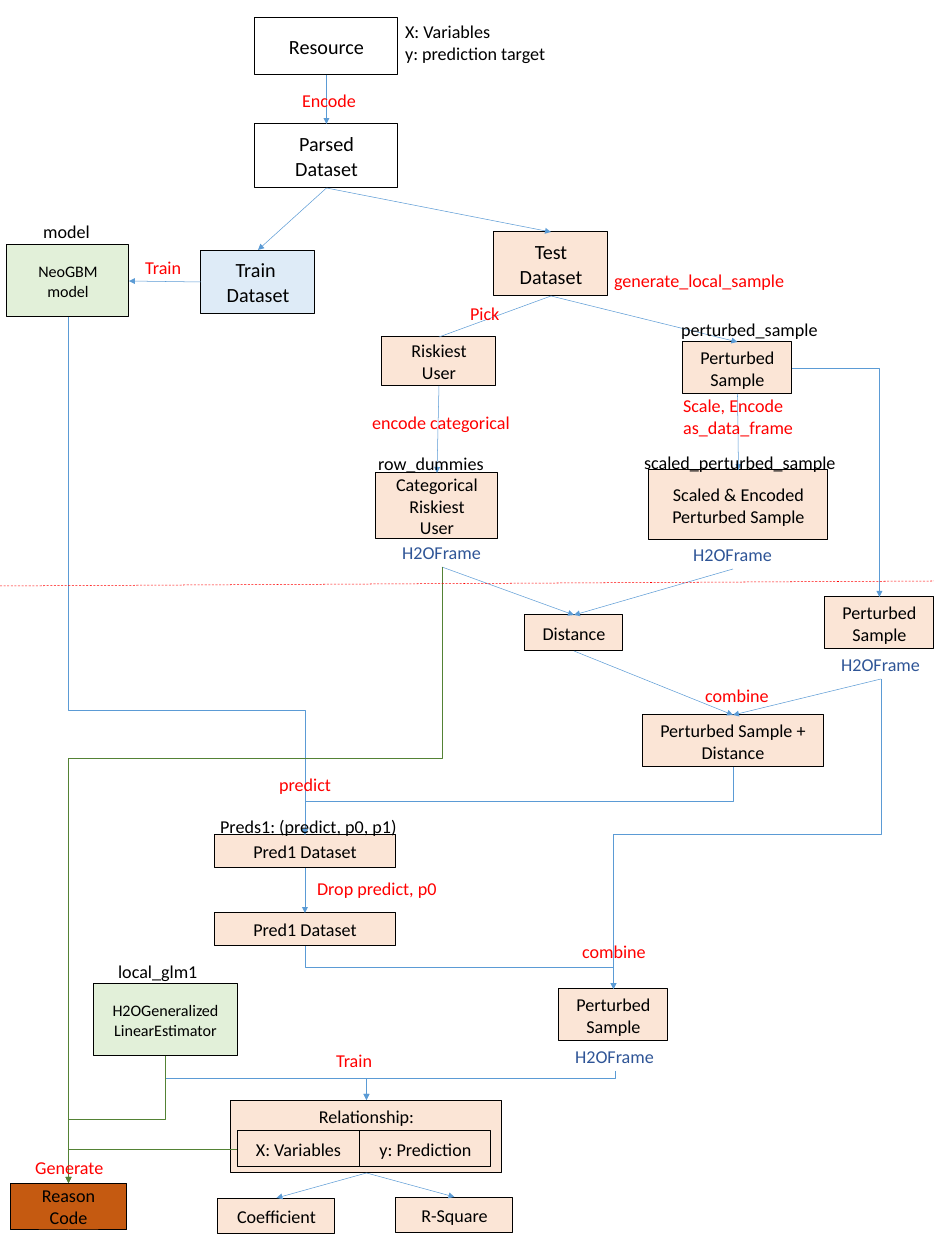
from dataclasses import dataclass

from lxml.etree import SubElement
from pptx import Presentation
from pptx.dml.color import RGBColor
from pptx.enum.dml import MSO_LINE_DASH_STYLE as Dash
from pptx.enum.shapes import MSO_CONNECTOR as Connector, MSO_SHAPE as Preset
from pptx.enum.text import MSO_ANCHOR as Anchor, PP_ALIGN as Align
from pptx.oxml.ns import qn
from pptx.util import Pt

SCALE = 12630
TOP, LEFT, BOTTOM, RIGHT = range(4)


@dataclass(frozen=True)
class Theme:
    font: str = "Calibri"
    ink: str = "000000"
    action: str = "FF0000"
    frame: str = "2F5597"
    flow: str = "5B9BD5"
    reason_flow: str = "548235"
    model: str = "E2F0D9"
    train: str = "DEEBF7"
    data: str = "FBE5D6"
    reason: str = "C55A11"
    small: int = 16
    body: int = 18
    large: int = 20
    outline: float = 1
    thin: float = 0.5


theme = Theme()


def px(value):
    return round(value * SCALE)


def apply(target, values):
    for name, value in values.items():
        setattr(target, name, value)


def write(shape, text, size, color, align, layout):
    apply(shape.text_frame, {"word_wrap": True, **layout})
    for index, line in enumerate(text.split("\n")):
        paras = shape.text_frame.paragraphs
        para = paras[0] if index == 0 else shape.text_frame.add_paragraph()
        para.alignment = align
        span = para.add_run()
        span.text = line
        apply(span.font, {"name": theme.font, "size": Pt(size)})
        span.font.color.rgb = RGBColor.from_string(color)


def add_node(page, box, place, text, fill=theme.data, size=theme.body, **layout):
    left, top, width, height = place
    node = page.shapes.add_shape(
        Preset.RECTANGLE, px(box[0] + left), px(box[1] + top), px(width), px(height))
    node.shadow.inherit = False
    if fill:
        node.fill.solid()
        node.fill.fore_color.rgb = RGBColor.from_string(fill)
    else:
        node.fill.background()
    node.line.color.rgb = RGBColor.from_string(theme.ink)
    node.line.width = Pt(theme.outline)
    insets = {"margin_left": px(17), "margin_right": px(17),
              "margin_top": px(9), "margin_bottom": px(9)}
    write(node, text, size, theme.ink, Align.CENTER,
          {"vertical_anchor": Anchor.MIDDLE, **insets, **layout})
    return node


def add_label(page, box, place, text, color=theme.action, wrap=False):
    left, top, width = place
    height = 29 + 22 * text.count("\n")
    label = page.shapes.add_textbox(
        px(box[0] + left), px(box[1] + top), px(width), px(height))
    write(label, text, theme.body, color, Align.LEFT, {"word_wrap": wrap})
    return label


def style_line(line, color, arrow=True):
    line.line.color.rgb = RGBColor.from_string(color)
    line.line.width = Pt(theme.thin)
    if arrow:
        SubElement(line.line._get_or_add_ln(), qn("a:tailEnd"), type="triangle")
    SubElement(line._element.spPr, qn("a:effectLst"))


def site(shape, side):
    across = {LEFT: 0, RIGHT: shape.width}.get(side, shape.width // 2)
    down = {TOP: 0, BOTTOM: shape.height}.get(side, shape.height // 2)
    return shape.left + across, shape.top + down


def join(page, start, end, sides=(BOTTOM, TOP), arrow=True):
    line = page.shapes.add_connector(Connector.STRAIGHT, 0, 0, 0, 0)
    line.begin_connect(start, sides[0])
    line.end_connect(end, sides[1])
    style_line(line, theme.flow, arrow)


def step_down(page, start, end, bend=0.5, color=theme.flow):
    (x1, y1), (x2, y2) = site(start, BOTTOM), site(end, TOP)
    drop, shift = y2 - y1, abs(x2 - x1)
    left, top = (x1 + x2 - drop) // 2, (y1 + y2 - shift) // 2
    ends = (left, left + drop) if x2 < x1 else (left + drop, left)
    line = page.shapes.add_connector(
        Connector.ELBOW, ends[0], top, ends[1], top + shift)
    line._element.spPr.xfrm.set("rot", "5400000" if x2 < x1 else "16200000")
    guides = line._element.spPr.prstGeom.get_or_add_avLst()
    SubElement(guides, qn("a:gd"), name="adj1", fmla=f"val {round(bend * 100000)}")
    style_line(line, color)


def turn_down(page, start, side, end, color=theme.flow):
    line = page.shapes.add_connector(
        Connector.ELBOW, *site(start, side), *site(end, TOP))
    line._element.spPr.prstGeom.set("prst", "bentConnector2")
    style_line(line, color)


def dataset_region(page, box):
    resource = add_node(page, box, (255, 18, 143, 57), "Resource", None, theme.large)
    parsed = add_node(page, box, (255, 124, 143, 64), "Parsed\nDataset", None, theme.large)
    model = add_node(page, box, (7, 245, 122, 72), "NeoGBM\nmodel", theme.model, theme.small)
    train = add_node(page, box, (201, 250, 114, 64), "Train \nDataset", theme.train, theme.large)
    test = add_node(page, box, (494, 232, 114, 64), "Test\nDataset", size=theme.large)
    for start, end in ((resource, parsed), (parsed, train), (parsed, test)):
        join(page, start, end)
    join(page, train, model, (LEFT, RIGHT))
    add_label(page, box, (398, 17, 432), "X: Variables\ny: prediction target", theme.ink, True)
    add_label(page, box, (36, 217, 62), "model", theme.ink)
    add_label(page, box, (295, 86, 70), "Encode")
    add_label(page, box, (138, 253, 51), "Train")
    return {"model": model, "test": test}


def sampling_region(page, box, test):
    riskiest = add_node(page, box, (22, 71, 114, 49), "Riskiest User")
    perturbed = add_node(page, box, (323, 76, 109, 52), "Perturbed\nSample")
    categorical = add_node(page, box, (16, 207, 122, 66), "Categorical\nRiskiest User")
    scaled = add_node(page, box, (289, 204, 179, 70), "Scaled & Encoded Perturbed Sample")
    join(page, riskiest, test, (TOP, BOTTOM), arrow=False)
    for start, end in ((test, perturbed), (riskiest, categorical), (perturbed, scaled)):
        join(page, start, end)
    add_label(page, box, (247, 0, 187), "generate_local_sample")
    add_label(page, box, (103, 33, 44), "Pick")
    add_label(page, box, (5, 142, 154), "encode categorical")
    add_label(page, box, (316, 125, 126), "Scale, Encode\nas_data_frame")
    add_label(page, box, (314, 49, 153), "perturbed_sample", theme.ink)
    add_label(page, box, (11, 183, 122), "row_dummies", theme.ink)
    add_label(page, box, (277, 182, 209), "scaled_perturbed_sample", theme.ink)
    return {
        "perturbed": perturbed,
        "user_frame": add_label(page, box, (35, 272, 94), "H2OFrame", theme.frame),
        "scaled_frame": add_label(page, box, (326, 274, 94), "H2OFrame", theme.frame),
    }


def distance_region(page, box, sampling):
    distance = add_node(page, box, (5, 35, 98, 36), "Distance")
    sample = add_node(page, box, (305, 17, 109, 52), "Perturbed\nSample")
    sample_frame = add_label(page, box, (314, 70, 94), "H2OFrame", theme.frame)
    combined = add_node(page, box, (122, 135, 182, 52), "Perturbed Sample +\nDistance")
    for start, end in ((sampling["user_frame"], distance),
                       (sampling["scaled_frame"], distance),
                       (distance, combined), (sample_frame, combined)):
        join(page, start, end)
    turn_down(page, sampling["perturbed"], RIGHT, sample)
    add_label(page, box, (178, 101, 79), "combine")
    return {"combined": combined, "sample_frame": sample_frame}


def prediction_region(page, box, model, distance):
    predicted, trimmed = [
        add_node(page, box, (4, top, 182, 33), "Pred1 Dataset") for top in (65, 143)]
    sample = add_node(page, box, (349, 219, 109, 52), "Perturbed\nSample")
    step_down(page, model, predicted, 0.76)
    step_down(page, distance["combined"], predicted)
    join(page, predicted, trimmed)
    step_down(page, trimmed, sample)
    step_down(page, distance["sample_frame"], sample)
    add_label(page, box, (62, 0, 125), "predict", wrap=True)
    add_label(page, box, (3, 42, 193), "Preds1: (predict, p0, p1)", theme.ink)
    add_label(page, box, (100, 104, 135), "Drop predict, p0")
    add_label(page, box, (365, 167, 79), "combine")
    return add_label(page, box, (358, 272, 94), "H2OFrame", theme.frame)


def explanation_region(page, box, user_frame, sample_frame):
    estimator = add_node(page, box, (93, 29, 145, 72), "H2OGeneralizedLinearEstimator",
                         theme.model, theme.small)
    relationship = add_node(page, box, (231, 145, 271, 73), "Relationship:",
                            vertical_anchor=Anchor.TOP, margin_top=px(5))
    variables = add_node(page, box, (237, 176, 123, 36), "X: Variables")
    add_node(page, box, (360, 176, 131, 36), "y: Prediction")
    reason = add_node(page, box, (10, 228, 117, 47), "Reason\nCode", theme.reason)
    for left, top, text in ((218, 243, "Coefficient"), (396, 242, "R-Square")):
        join(page, relationship, add_node(page, box, (left, top, 117, 36), text))
    step_down(page, estimator, relationship)
    step_down(page, sample_frame, relationship, 0.24)
    step_down(page, user_frame, reason, 0.31, theme.reason_flow)
    step_down(page, estimator, reason, color=theme.reason_flow)
    turn_down(page, variables, LEFT, reason, theme.reason_flow)
    add_label(page, box, (111, 2, 95), "local_glm1", theme.ink)
    add_label(page, box, (329, 91, 51), "Train")
    add_label(page, box, (28, 198, 84), "Generate")


def divider(page, box):
    left, top, width, rise = box
    line = page.shapes.add_connector(
        Connector.STRAIGHT, px(left), px(top + rise), px(left + width), px(top))
    style_line(line, theme.action, arrow=False)
    line.line.dash_style = Dash.DASH


deck = Presentation()
apply(deck, {"slide_width": px(934), "slide_height": px(1260)})
page = deck.slides.add_slide(deck.slide_layouts[6])
datasets = dataset_region(page, (0, 0))
sampling = sampling_region(page, (360, 266), datasets["test"])
distance = distance_region(page, (520, 580), sampling)
sample_frame = prediction_region(page, (210, 770), datasets["model"], distance)
explanation_region(page, (0, 955), sampling["user_frame"], sample_frame)
divider(page, (0, 581, 934, 5))
deck.save("out.pptx")
